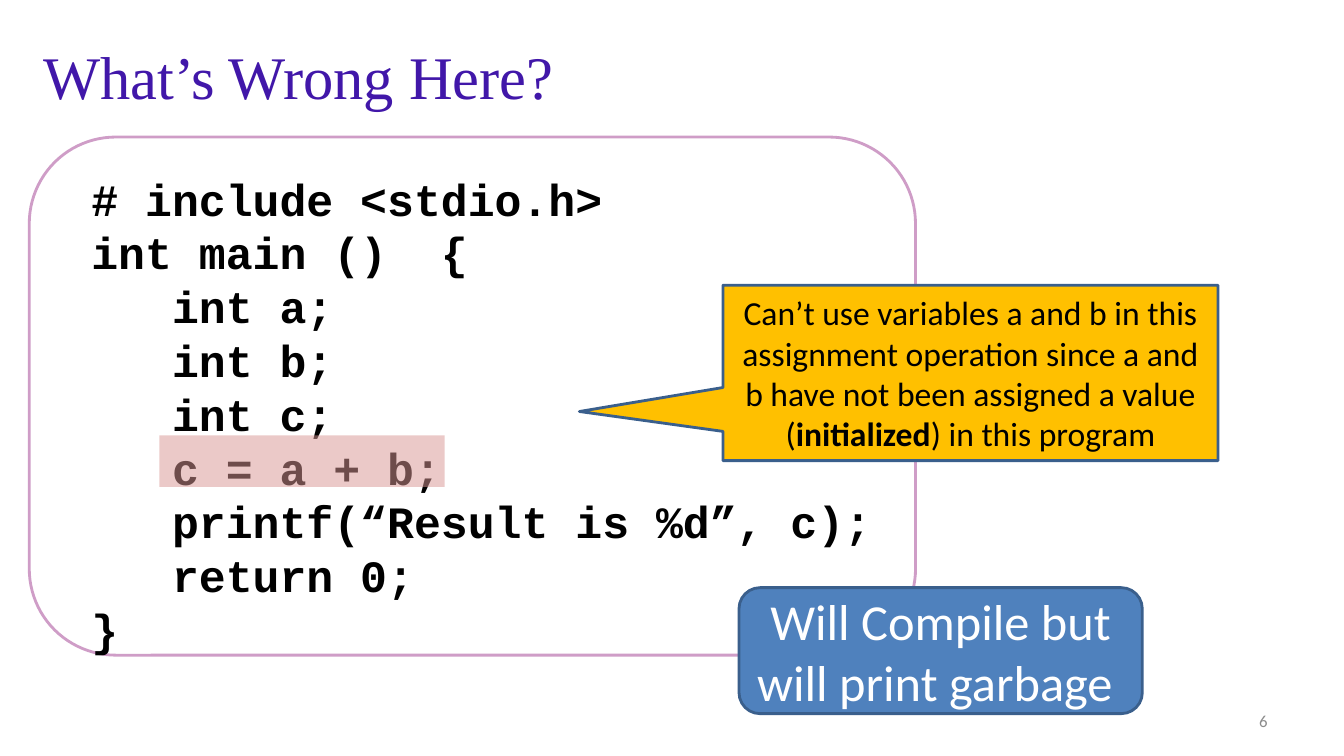
from pptx import Presentation
from pptx.dml.color import RGBColor
from pptx.enum.shapes import MSO_SHAPE
from pptx.enum.text import MSO_ANCHOR, PP_ALIGN
from pptx.util import Inches, Pt
from lxml import etree

HUES = {"title": "4117A9", "frame": "CF9DC7", "edge": "3A5F8C", "gold": "FFC000",
        "rose": "D99694", "blue": "4F81BD", "white": "FFFFFF", "black": "000000",
        "gray": "8C8C8C"}
CODE = """ # include <stdio.h>
 int main ()  {
    int a;
    int b;
    int c;
    c = a + b;
    printf(“Result is %d”, c);
    return 0;
 }"""


def add_box(kind, place, fill, line=None):
    box = slide.shapes.add_shape(kind, *map(Inches, place))
    box.shadow.inherit = False
    box.fill.solid()
    box.fill.fore_color.rgb = RGBColor.from_string(HUES[fill])
    if line:
        box.line.color.rgb = RGBColor.from_string(HUES[line])
        box.line.width = Pt(2)
    else:
        box.line.fill.background()
    return box


def write(box, lines, name, size, hue, align, bold=False, pitch=None):
    """Each line is a list of (text, bold) runs or a plain string."""
    frame = box.text_frame
    frame.word_wrap = True
    frame.vertical_anchor = MSO_ANCHOR.MIDDLE
    look = {"name": name, "size": Pt(size)}
    for i, line in enumerate(lines):
        para = frame.add_paragraph() if i else frame.paragraphs[0]
        para.alignment = align
        if pitch:
            para.line_spacing = Pt(pitch)
        for text, heavy in [(line, bold)] if isinstance(line, str) else line:
            run = para.add_run()
            run.text = text
            for key, value in {**look, "bold": heavy}.items():
                setattr(run.font, key, value)
            run.font.color.rgb = RGBColor.from_string(HUES[hue])


deck = Presentation()
deck.slide_width, deck.slide_height = Inches(13.33), Inches(7.5)
slide = deck.slides.add_slide(deck.slide_layouts[5])

# Title
title = slide.shapes.title
place = {"left": 0.33, "top": 0.33, "width": 12, "height": 0.83}
for key, value in place.items():
    setattr(title, key, Inches(value))
write(title, ["What’s Wrong Here?"], "Times New Roman", 43.2, "title", PP_ALIGN.LEFT)

# Code panel
panel = add_box(MSO_SHAPE.ROUNDED_RECTANGLE, (0.29, 1.36, 8.79, 5.14), "white", "frame")
write(panel, CODE.split("\n"), "Courier New", 32, "black", PP_ALIGN.LEFT, True, 38.4)
panel.text_frame.vertical_anchor = MSO_ANCHOR.TOP
panel.text_frame.margin_top = Inches(0.09)
panel.text_frame.margin_bottom = 0

# Callout that points at the faulty line
note = add_box(MSO_SHAPE.RECTANGULAR_CALLOUT, (7.17, 2.83, 4.91, 1.74), "gold", "edge")
note.adjustments[0], note.adjustments[1] = -0.79, 0.22
write(note, [[("Can’t use variables a and b in this assignment operation since "
               "a and b have not been assigned a value (", False),
              ("initialized", True), (") in this program", False)]],
      "Calibri", 24, "black", PP_ALIGN.CENTER, pitch=28.8)

# See-through marker over the faulty line
mark = add_box(MSO_SHAPE.RECTANGLE, (1.58, 4.32, 2.83, 0.51), "rose")
tint = mark.fill._xPr.find(".//{*}srgbClr")
space = etree.QName(tint).namespace
etree.SubElement(tint, f"{{{space}}}alpha", val="51000")

# Verdict
badge = add_box(MSO_SHAPE.ROUNDED_RECTANGLE, (7.33, 5.83, 4, 1.25), "blue", "edge")
write(badge, ["Will Compile but will print garbage "], "Calibri", 36, "white", PP_ALIGN.CENTER)

# Slide number
number = slide.shapes.add_textbox(*map(Inches, (9.56, 6.95, 3.11, 0.4)))
write(number, ["6"], "Calibri", 12, "gray", PP_ALIGN.RIGHT)

deck.save("out.pptx")
